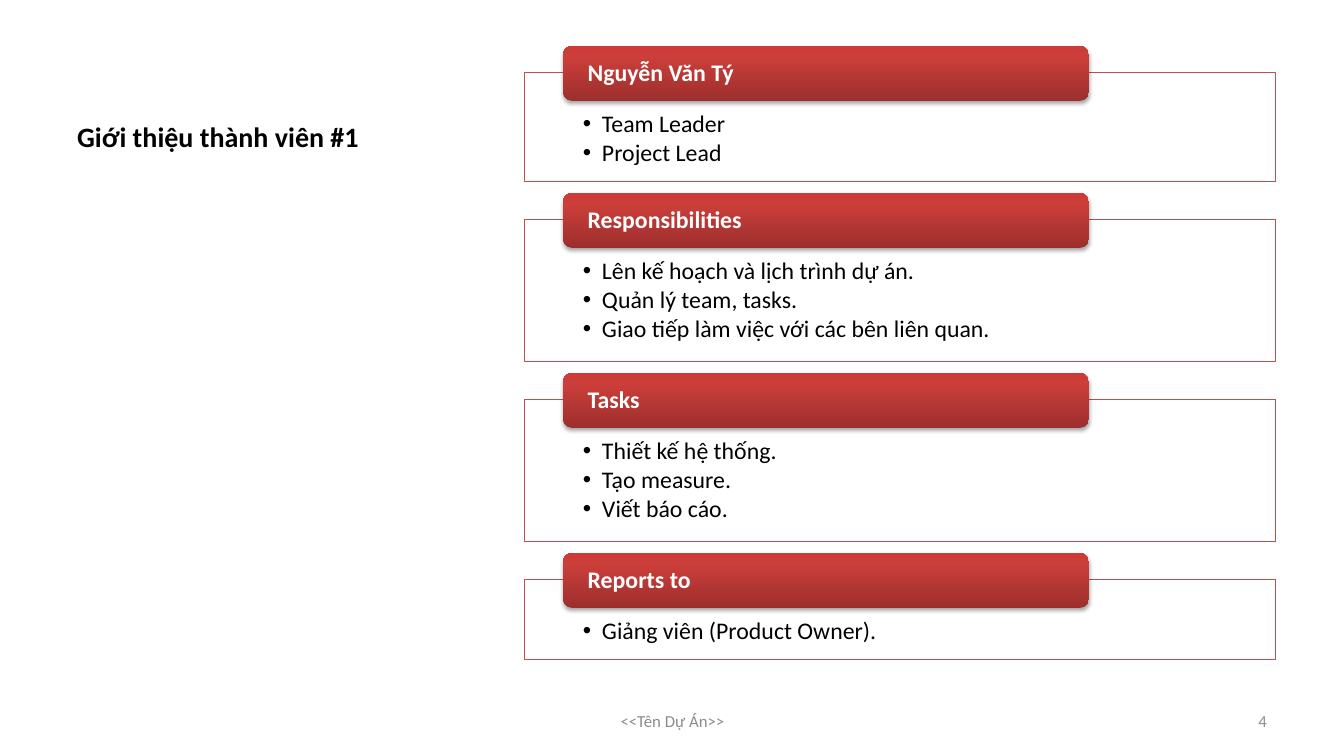
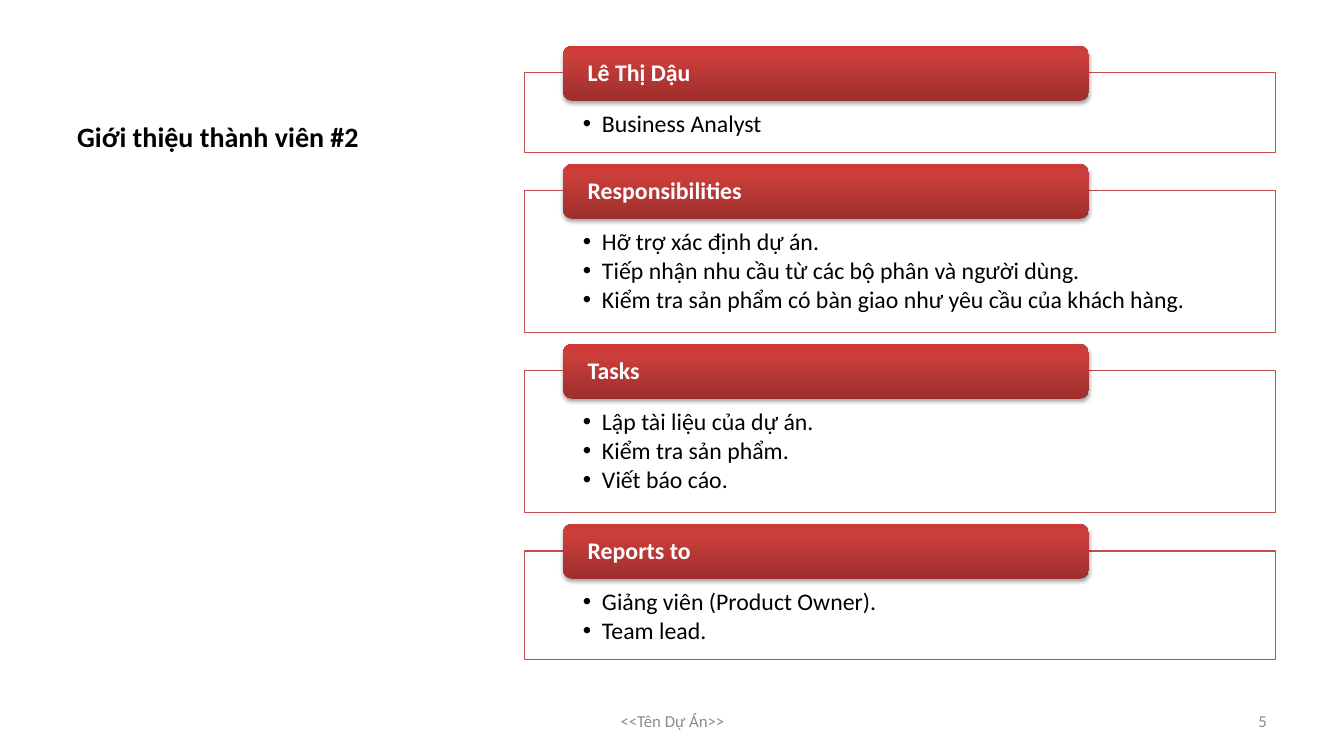
from dataclasses import dataclass

from lxml.etree import SubElement
from pptx import Presentation
from pptx.dml.color import RGBColor
from pptx.enum.shapes import MSO_SHAPE
from pptx.enum.text import MSO_ANCHOR, PP_ALIGN
from pptx.oxml.ns import qn
from pptx.util import Emu, Pt

# Shared scale, colours and type
EMU_PER_INCH = 914400
PX_PER_INCH = 100.8
FONT = "Calibri"
BLACK, WHITE, GREY, RED = "000000", "FFFFFF", "8C8C8C", "C0504D"
HEADER_STOPS = ((0, "9C2F2D"), (80, "CB3E3A"), (100, "CE3B37"))
PROJECT_NAME = "<<Tên Dự Án>>"

# Card grid, in px
FIRST_FRAME_TOP = 73
FRAME_LEFT, FRAME_WIDTH = 525, 751
FRAME_GAP = 38
FRAME_HEIGHTS = {1: 80, 2: 109, 3: 142}  # by number of bullets
HEADER_LEFT, HEADER_WIDTH, HEADER_HEIGHT = 563, 526, 55
HEADER_RISE = 27
BULLET_INDENT = 19


@dataclass(frozen=True)
class Box:
    left: int
    top: int
    width: int
    height: int


@dataclass(frozen=True)
class Card:
    heading: str
    bullets: tuple[str, ...]


@dataclass(frozen=True)
class Member:
    title: str
    page_number: int
    cards: tuple[Card, ...]


TITLE_BOX = Box(67, 30, 443, 128)
FOOTER_BOX = Box(460, 700, 425, 41)
NUMBER_BOX = Box(964, 700, 313, 41)

MEMBERS = (
    Member("Giới thiệu thành viên #1", 4, (
        Card("Nguyễn Văn Tý", ("Team Leader", "Project Lead")),
        Card("Responsibilities", (
            "Lên kế hoạch và lịch trình dự án.",
            "Quản lý team, tasks.",
            "Giao tiếp làm việc với các bên liên quan.",
        )),
        Card("Tasks", ("Thiết kế hệ thống.", "Tạo measure.", "Viết báo cáo.")),
        Card("Reports to", ("Giảng viên (Product Owner).",)),
    )),
    Member("Giới thiệu thành viên #2", 5, (
        Card("Lê Thị Dậu", ("Business Analyst",)),
        Card("Responsibilities", (
            "Hỡ trợ xác định dự án.",
            "Tiếp nhận nhu cầu từ các bộ phân và người dùng.",
            "Kiểm tra sản phẩm có bàn giao như yêu cầu của khách hàng.",
        )),
        Card("Tasks", ("Lập tài liệu của dự án.", "Kiểm tra sản phẩm.", "Viết báo cáo.")),
        Card("Reports to", ("Giảng viên (Product Owner).", "Team lead.")),
    )),
)


# Helpers
def px(length: int) -> Emu:
    return Emu(round(length * EMU_PER_INCH / PX_PER_INCH))


def color(value: str) -> RGBColor:
    return RGBColor.from_string(value)


def place(box: Box) -> tuple[Emu, Emu, Emu, Emu]:
    return px(box.left), px(box.top), px(box.width), px(box.height)


def add_run(para, text: str, size: int, ink: str, bold: bool = False) -> None:
    span = para.add_run()
    span.text = text
    span.font.name = FONT
    span.font.size = Pt(size)
    span.font.bold = bold
    span.font.color.rgb = color(ink)


def set_frame(frame, anchor: MSO_ANCHOR, left: int, top: int, right: int, bottom: int) -> None:
    frame.word_wrap = True
    frame.vertical_anchor = anchor
    frame.margin_left, frame.margin_top = px(left), px(top)
    frame.margin_right, frame.margin_bottom = px(right), px(bottom)


def add_bullet(para) -> None:
    properties = para._p.get_or_add_pPr()
    properties.set("marL", str(px(BULLET_INDENT)))
    properties.set("indent", str(-px(BULLET_INDENT)))
    SubElement(properties, qn("a:buFont"), typeface="Arial")
    SubElement(properties, qn("a:buChar"), char="•")


def add_header_gradient(shape) -> None:
    gradient = SubElement(shape._element.spPr, qn("a:gradFill"), rotWithShape="1")
    stops = SubElement(gradient, qn("a:gsLst"))
    for percent, value in HEADER_STOPS:
        stop = SubElement(stops, qn("a:gs"), pos=str(percent * 1000))
        SubElement(stop, qn("a:srgbClr"), val=value)
    SubElement(gradient, qn("a:lin"), ang="16200000", scaled="0")


def add_header_shadow(shape) -> None:
    shape.shadow.inherit = False
    effects = shape._element.spPr.find(qn("a:effectLst"))
    shadow = SubElement(
        effects, qn("a:outerShdw"), blurRad=str(Pt(3.1)), dist=str(Pt(1.8)),
        dir="5400000", rotWithShape="0",
    )
    shade = SubElement(shadow, qn("a:srgbClr"), val=BLACK)
    SubElement(shade, qn("a:alpha"), val="35000")


# Slide parts
def add_title(page, text: str) -> None:
    title = page.shapes.title
    title.left, title.top, title.width, title.height = place(TITLE_BOX)
    title.text_frame.vertical_anchor = MSO_ANCHOR.BOTTOM
    para = title.text_frame.paragraphs[0]
    para.alignment = PP_ALIGN.LEFT
    add_run(para, text, 20, BLACK, bold=True)


def add_footer(page, box: Box, text: str, alignment: PP_ALIGN) -> None:
    frame = page.shapes.add_textbox(*place(box)).text_frame
    set_frame(frame, MSO_ANCHOR.MIDDLE, 10, 5, 10, 5)
    para = frame.paragraphs[0]
    para.alignment = alignment
    para.space_after = Pt(6)
    add_run(para, text, 12, GREY)


def add_card_frame(page, box: Box, bullets: tuple[str, ...]) -> None:
    panel = page.shapes.add_shape(MSO_SHAPE.RECTANGLE, *place(box))
    panel.shadow.inherit = False
    panel.fill.solid()
    panel.fill.fore_color.rgb = color(WHITE)
    fill_color = panel._element.spPr.find(qn("a:solidFill")).find(qn("a:srgbClr"))
    SubElement(fill_color, qn("a:alpha"), val="90000")
    panel.line.color.rgb = color(RED)
    panel.line.width = Pt(0.75)
    frame = panel.text_frame
    set_frame(frame, MSO_ANCHOR.TOP, 58, 39, 58, 13)
    for index, bullet in enumerate(bullets):
        para = frame.add_paragraph() if index else frame.paragraphs[0]
        add_bullet(para)
        para.level = 1
        para.alignment = PP_ALIGN.LEFT
        para.line_spacing = 0.9
        para.space_after = Pt(2.2)
        add_run(para, bullet, 17, BLACK)


def add_card_header(page, box: Box, heading: str) -> None:
    header = page.shapes.add_shape(MSO_SHAPE.ROUNDED_RECTANGLE, *place(box))
    add_header_gradient(header)
    header.line.fill.background()
    add_header_shadow(header)
    set_frame(header.text_frame, MSO_ANCHOR.MIDDLE, 22, 0, 22, 0)
    para = header.text_frame.paragraphs[0]
    para.alignment = PP_ALIGN.LEFT
    para.line_spacing = 0.9
    add_run(para, heading, 17, WHITE, bold=True)


def add_member_page(deck, member: Member) -> None:
    page = deck.slides.add_slide(deck.slide_layouts.get_by_name("Title Only"))
    add_title(page, member.title)
    add_footer(page, FOOTER_BOX, PROJECT_NAME, PP_ALIGN.CENTER)
    add_footer(page, NUMBER_BOX, str(member.page_number), PP_ALIGN.RIGHT)
    top = FIRST_FRAME_TOP
    for card in member.cards:
        height = FRAME_HEIGHTS[len(card.bullets)]
        add_card_frame(page, Box(FRAME_LEFT, top, FRAME_WIDTH, height), card.bullets)
        header_box = Box(HEADER_LEFT, top - HEADER_RISE, HEADER_WIDTH, HEADER_HEIGHT)
        add_card_header(page, header_box, card.heading)
        top += height + FRAME_GAP


def main() -> None:
    deck = Presentation()
    deck.slide_width, deck.slide_height = px(1344), px(756)
    for member in MEMBERS:
        add_member_page(deck, member)
    deck.save("out.pptx")


if __name__ == "__main__":
    main()
